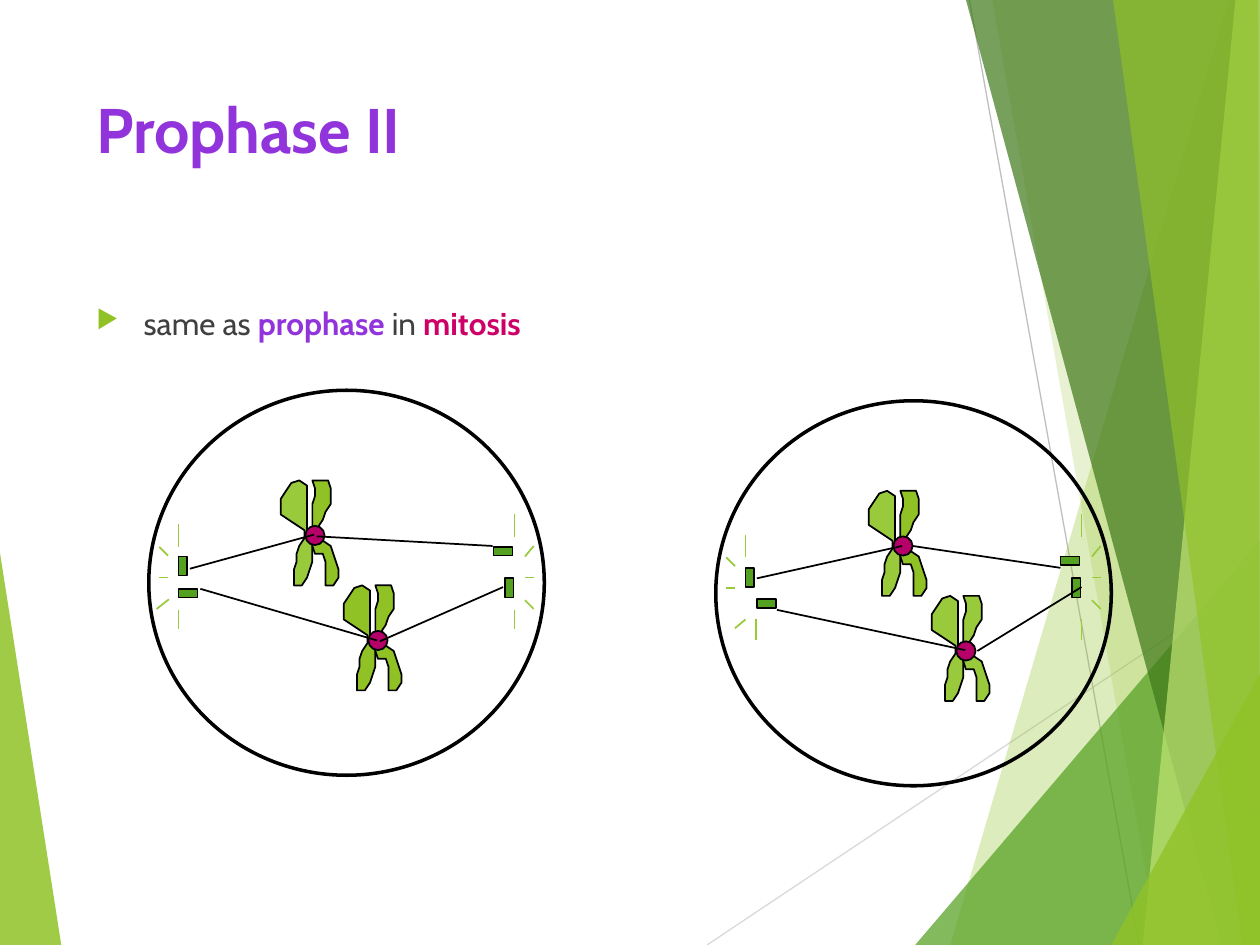
from lxml import etree
from pptx import Presentation
from pptx.dml.color import RGBColor as Rgb
from pptx.enum.shapes import MSO_CONNECTOR as Connector, MSO_SHAPE as Preset
from pptx.oxml.ns import qn
from pptx.util import Pt

COLORS = {
    "black": "000000", "text": "404040", "purple": "9234DB", "pink": "CC0066",
    "centromere": "B50069", "leaf": "90C226", "light": "99CA3C", "green": "54A021",
    "dark": "3F7819", "pale": "C0E474", "grey": "D9D9D9", "mid_grey": "BFBFBF",
}
FONT = "Cabin"

# Background: outline, colour, opacity in percent
LEFT_WEDGE = ([(0, 316), (35, 540), (0, 540)], "leaf", 85)
BACKDROP_LINES = [((404, 540, 720, 329), "grey"), ((554, 0, 651, 540), "mid_grey")]
RIGHT_FACETS = [
    ([(702, 0), (543, 540), (720, 540), (720, 0)], "leaf", 30),
    ([(567, 0), (662, 540), (720, 540), (720, 0)], "leaf", 20),
    ([(523, 540), (720, 309), (720, 540)], "green", 72),
    ([(552, 0), (698, 540), (720, 540), (720, 0)], "dark", 70),
    ([(706, 0), (653, 540), (720, 540), (720, 0)], "pale", 70),
    ([(636, 0), (710, 540), (720, 540), (719, 0)], "leaf", 65),
    ([(635, 540), (720, 385), (720, 540)], "leaf", 80),
]

# Chromatid outlines around the centromere, in steps of CHROMATID_STEP points
CHROMATID_STEP = 1.5
LEFT_CHROMATID = [
    (0, 0), (-3, -1), (-3, -19), (-6, -21), (-9, -20), (-11, -17), (-13, -14),
    (-13, -8), (-4, -2), (-4, 1), (-6, 4), (-7, 7), (-7, 10), (-8, 13), (-8, 19),
    (-5, 19), (-3, 16), (-2, 13), (-1, 10), (-1, 1),
]
RIGHT_CHROMATID = [
    (0, 0), (-1, -3), (-1, -12), (0, -15), (0, -18), (-1, -21), (5, -21), (6, -18),
    (6, -12), (4, -9), (3, -6), (1, -3), (0, 0), (6, 4), (7, 7), (8, 10), (9, 13),
    (9, 16), (7, 19), (4, 19), (4, 10), (3, 7), (0, 7), (-1, 4), (-1, 1),
]

# Rays that both cells share, placed for the left cell
LEFT_RAYS = [(91, 330, 96, 330), (91, 312.5, 96, 317.5), (102, 312.5, 102, 299.5)]
RIGHT_RAYS = [(294, 307, 294, 294), (300, 318, 305, 312),
              (300, 330, 305, 330), (300, 343, 305, 348)]
CELLS = [
    {
        "outline": (85, 223, 226, 220),
        "left_shift": (0, 0), "right_shift": (0, 0),
        "chromosomes": [(180, 306, "light", "leaf"), (216, 366, "leaf", "leaf")],
        "upright_centrioles": [(102, 318), (288.5, 330.5)],
        "flat_centrioles": [(102, 336.5), (282, 312.5)],
        "own_rays": [(96.5, 342.5, 89.5, 348), (102, 348.5, 102, 359.5),
                     (294, 348.5, 294, 359.5)],
        "spindle": [(108.5, 325, 179.5, 305.5), (181, 306.5, 281.5, 312),
                    (114.5, 336.5, 215.5, 366), (217, 366.5, 287.5, 335.5)],
    },
    {
        "outline": (409, 229, 226, 220),
        "left_shift": (324, 6), "right_shift": (324, 0),
        "chromosomes": [(516, 312, "light", "leaf"), (552, 372, "light", "light")],
        "upright_centrioles": [(426, 324.5), (612.5, 330.5)],
        "flat_centrioles": [(432.5, 342.5), (606, 318)],
        "own_rays": [(426, 354, 420, 359), (432, 354, 432, 366), (618, 354, 618, 366)],
        "spindle": [(432.5, 330.5, 515.5, 312), (606, 324.5, 521.5, 312),
                    (444, 348.5, 551.5, 371.5), (558.5, 372, 618, 335.5)],
    },
]


def color(name):
    return Rgb.from_string(COLORS[name])


def style(shape, fill=None, line_width=None, opacity=100):
    shape.shadow.inherit = False
    if fill:
        shape.fill.solid()
        shape.fill.fore_color.rgb = color(fill)
        if opacity < 100:
            fill_color = shape._element.spPr.find(f".//{qn('a:srgbClr')}")
            etree.SubElement(fill_color, qn("a:alpha"), val=str(opacity * 1000))
    else:
        shape.fill.background()
    if line_width:
        shape.line.color.rgb = color("black")
        shape.line.width = Pt(line_width)
    else:
        shape.line.fill.background()


def add_preset(slide, preset, box, fill=None, line_width=1):
    shape = slide.shapes.add_shape(preset, *map(Pt, box))
    style(shape, fill, line_width)


def add_polygon(slide, points, fill, step=1, origin=(0, 0), line_width=None, opacity=100):
    """Draw a closed outline; points count in steps of the given points from origin."""
    builder = slide.shapes.build_freeform(*points[0], scale=Pt(step))
    builder.add_line_segments(points[1:], close=True)
    style(builder.convert_to_shape(*map(Pt, origin)), fill, line_width, opacity)


def add_line(slide, ends, color_name, width=1, shift=(0, 0)):
    dx, dy = shift
    x1, y1, x2, y2 = ends
    line = slide.shapes.add_connector(
        Connector.STRAIGHT, Pt(x1 + dx), Pt(y1 + dy), Pt(x2 + dx), Pt(y2 + dy))
    line.line.color.rgb = color(color_name)
    line.line.width = Pt(width)
    etree.SubElement(line._element.spPr, qn("a:effectLst"))


def add_text(slide, box, runs, size, bullet=False):
    """Add one paragraph; each run is (text, colour, bold)."""
    frame = slide.shapes.add_textbox(*map(Pt, box)).text_frame
    frame.word_wrap = True
    paragraph = frame.paragraphs[0]
    if bullet:
        add_bullet(paragraph)
    for text, color_name, bold in runs:
        run = paragraph.add_run()
        run.text = text
        run.font.color.rgb = color(color_name)
        for name, value in {"name": FONT, "size": Pt(size), "bold": bold}.items():
            setattr(run.font, name, value)


def add_bullet(paragraph):
    properties = paragraph._p.get_or_add_pPr()
    properties.set("marL", str(Pt(27)))
    properties.set("indent", str(Pt(-27)))
    bullet_color = etree.SubElement(properties, qn("a:buClr"))
    etree.SubElement(bullet_color, qn("a:srgbClr"), val=COLORS["leaf"])
    etree.SubElement(properties, qn("a:buSzPct"), val="80000")
    etree.SubElement(properties, qn("a:buChar"), char="▶")


def add_background(slide):
    facets = [LEFT_WEDGE, *RIGHT_FACETS]
    for ends, color_name in BACKDROP_LINES:
        add_line(slide, ends, color_name, 0.75)
    for points, fill, opacity in facets:
        add_polygon(slide, points, fill, opacity=opacity)


def add_chromosome(slide, x, y, left_fill, right_fill):
    for points, fill in ((LEFT_CHROMATID, left_fill), (RIGHT_CHROMATID, right_fill)):
        add_polygon(slide, points, fill, CHROMATID_STEP, (x, y), line_width=1)
    add_preset(slide, Preset.OVAL, (x - 5.5, y - 5.5, 11, 11), "centromere")


def add_cell(slide, cell):
    for chromosome in cell["chromosomes"]:
        add_chromosome(slide, *chromosome)
    add_preset(slide, Preset.OVAL, cell["outline"], line_width=2)
    for kind, size in (("upright", (5, 11)), ("flat", (11, 5))):
        for position in cell[f"{kind}_centrioles"]:
            add_preset(slide, Preset.RECTANGLE, position + size, "green")
    for rays, shift in ((LEFT_RAYS, cell["left_shift"]),
                        (RIGHT_RAYS, cell["right_shift"]),
                        (cell["own_rays"], (0, 0))):
        for ends in rays:
            add_line(slide, ends, "light", shift=shift)
    for ends in cell["spindle"]:
        add_line(slide, ends, "black")


def main():
    presentation = Presentation()
    presentation.slide_width, presentation.slide_height = Pt(720), Pt(540)
    slide = presentation.slides.add_slide(presentation.slide_layouts[6])
    add_background(slide)
    add_text(slide, (48, 48, 500, 104), [("Prophase II", "purple", True)], 36)
    add_text(slide, (48, 170, 500, 305), [
        ("same as ", "text", False), ("prophase", "purple", True),
        (" in ", "text", False), ("mitosis", "pink", True),
    ], 18, bullet=True)
    for cell in CELLS:
        add_cell(slide, cell)
    presentation.save("out.pptx")


if __name__ == "__main__":
    main()
